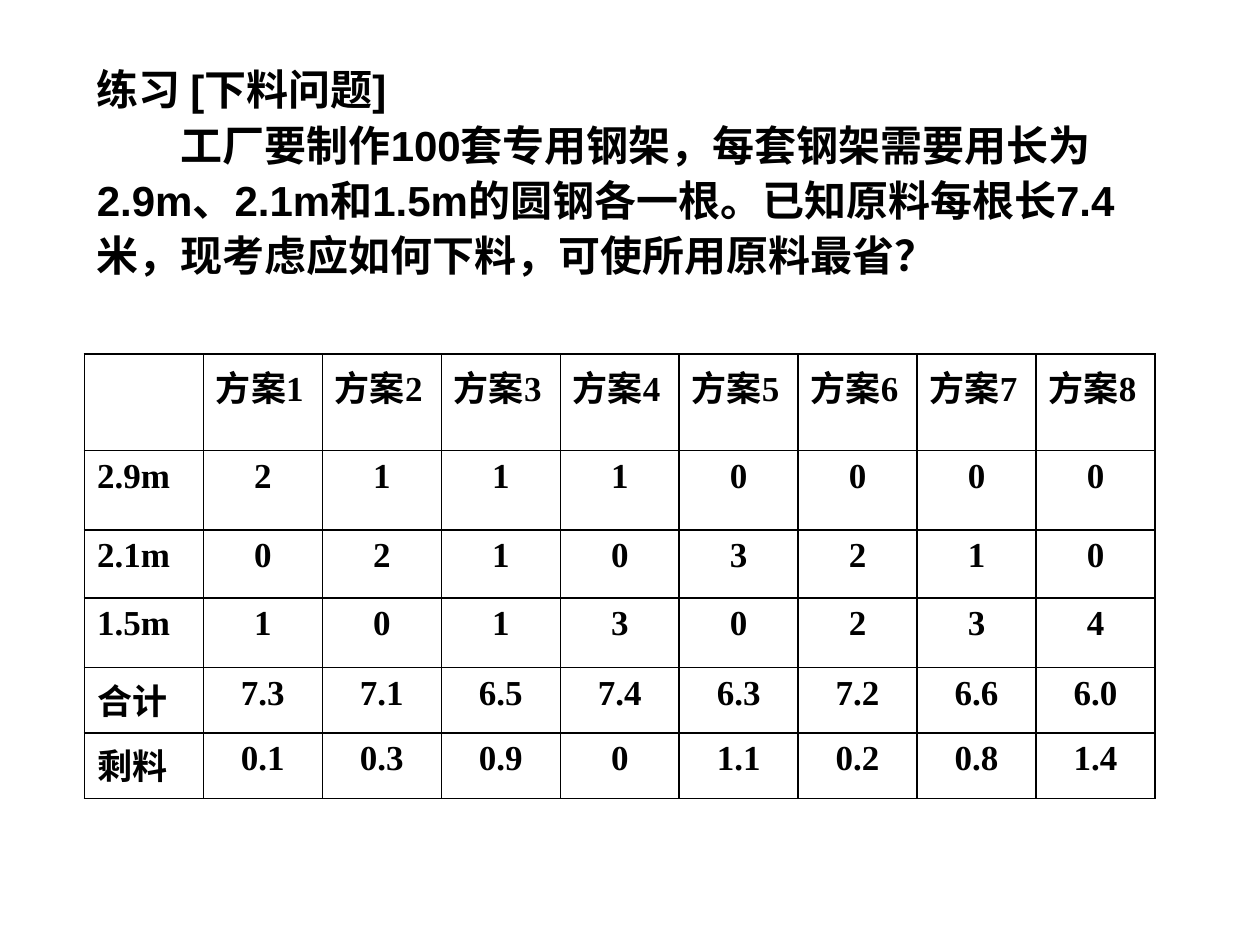
from pptx import Presentation
from pptx.dml.color import RGBColor
from pptx.enum.text import MSO_ANCHOR, PP_ALIGN
from pptx.oxml import parse_xml
from pptx.oxml.ns import nsdecls
from pptx.util import Inches, Pt

COLORS = {"text": "000000", "border": "000000"}
PROBLEM = [
    "练习 [下料问题]",
    "工厂要制作100套专用钢架，每套钢架需要用长为2.9m、2.1m和1.5m的圆钢各一根。"
    "已知原料每根长7.4米，现考虑应如何下料，可使所用原料最省？",
]
PLANS = [
    ["", *(f"方案{n}" for n in range(1, 9))],
    ["2.9m", "2", "1", "1", "1", "0", "0", "0", "0"],
    ["2.1m", "0", "2", "1", "0", "3", "2", "1", "0"],
    ["1.5m", "1", "0", "1", "3", "0", "2", "3", "4"],
    ["合计", "7.3", "7.1", "6.5", "7.4", "6.3", "7.2", "6.6", "6.0"],
    ["剩料", "0.1", "0.3", "0.9", "0", "1.1", "0.2", "0.8", "1.4"],
]
ROW_HEIGHTS = [0.56, 0.63, 0.54, 0.55, 0.52, 0.52]
LEFT, TABLE_TOP, TABLE_WIDTH = 0.67, 2.81, 8.5
HANGING = 0.38


def style_font(font, name, size):
    font.name, font.size, font.bold = name, Pt(size), True
    font.color.rgb = RGBColor.from_string(COLORS["text"])


def indent(p, left, first):
    pPr = p._p.get_or_add_pPr()
    pPr.set("marL", str(Inches(left)))
    pPr.set("indent", str(Inches(first)))


def add_borders(cell):
    tcPr = cell._tc.get_or_add_tcPr()
    for i, side in enumerate(("lnL", "lnR", "lnT", "lnB")):
        tcPr.insert(i, parse_xml(
            f'<a:{side} {nsdecls("a")} w="{Pt(1)}"><a:solidFill>'
            f'<a:srgbClr val="{COLORS["border"]}"/></a:solidFill></a:{side}>'))


def add_problem(s):
    box = s.shapes.add_textbox(Inches(LEFT), Inches(0.36), Inches(8.58), Inches(1.97))
    tf = box.text_frame
    tf.word_wrap = True
    tf.vertical_anchor = MSO_ANCHOR.MIDDLE
    tf.text = "\n".join(PROBLEM)
    for p in tf.paragraphs:
        p.line_spacing = 1.1
        for r in p.runs:
            style_font(r.font, "Arial", 24)
    indent(tf.paragraphs[1], 0, 2 * 24 / 72)


def add_plans(s):
    rows, cols = len(PLANS), len(PLANS[0])
    table = s.shapes.add_table(
        rows, cols, Inches(LEFT), Inches(TABLE_TOP),
        Inches(TABLE_WIDTH), Inches(sum(ROW_HEIGHTS))).table
    table.first_row = table.horz_banding = False
    for row, height in zip(table.rows, ROW_HEIGHTS):
        row.height = Inches(height)
    for i, values in enumerate(PLANS):
        for j, value in enumerate(values):
            cell = table.cell(i, j)
            cell.fill.background()
            add_borders(cell)
            cell.text_frame.text = value
            p = cell.text_frame.paragraphs[0]
            indent(p, HANGING, -HANGING)
            if i and j:
                p.alignment = PP_ALIGN.CENTER
            for r in p.runs:
                style_font(r.font, "Times New Roman", 20)


def main():
    prs = Presentation()
    prs.slide_width, prs.slide_height = Inches(10), Inches(7.5)
    s = prs.slides.add_slide(prs.slide_layouts[6])
    add_problem(s)
    add_plans(s)
    prs.save("out.pptx")


if __name__ == "__main__":
    main()
